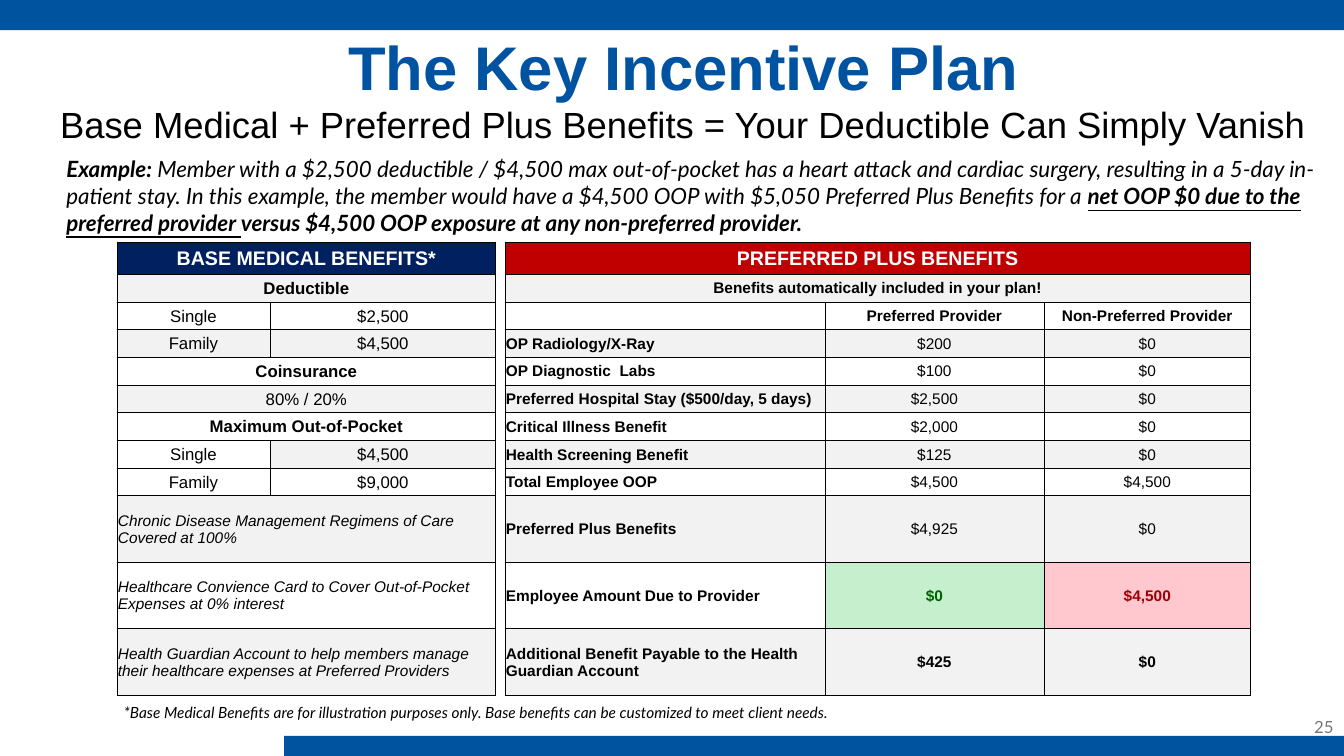
from lxml import etree
from pptx import Presentation
from pptx.dml.color import RGBColor
from pptx.enum.shapes import MSO_SHAPE
from pptx.enum.text import MSO_ANCHOR, MSO_AUTO_SIZE, PP_ALIGN
from pptx.oxml.ns import qn
from pptx.util import Pt

PX = 4572  # 200 px to the inch
LEFT, CENTER, RIGHT = PP_ALIGN.LEFT, PP_ALIGN.CENTER, PP_ALIGN.RIGHT
TOP, MIDDLE = MSO_ANCHOR.TOP, MSO_ANCHOR.MIDDLE
NO_AUTOFIT = MSO_AUTO_SIZE.NONE
RECTANGLE = MSO_SHAPE.RECTANGLE

BLACK = RGBColor(0x00, 0x00, 0x00)
WHITE = RGBColor(0xFF, 0xFF, 0xFF)
BLUE = RGBColor(0x00, 0x53, 0x9F)
TITLE_BLUE = RGBColor(0x00, 0x53, 0xA0)
NUMBER_GRAY = RGBColor(0x76, 0x76, 0x76)
NAVY = RGBColor(0x00, 0x20, 0x60)
RED = RGBColor(0xC0, 0x00, 0x00)
BAND = RGBColor(0xF2, 0xF2, 0xF2)
GOOD_FILL, GOOD_TEXT = RGBColor(0xC6, 0xEF, 0xCE), RGBColor(0x00, 0x61, 0x00)
BAD_FILL, BAD_TEXT = RGBColor(0xFF, 0xC7, 0xCE), RGBColor(0x9C, 0x00, 0x06)


def write(p, text, size, font="Arial", color=BLACK, bold=False, italic=False,
          underline=False, align=LEFT):
    """Append one formatted run to paragraph p."""
    p.alignment = align
    r = p.add_run()
    r.text = text
    r.font.size, r.font.name, r.font.color.rgb = Pt(size), font, color
    r.font.bold, r.font.italic, r.font.underline = bold, italic, underline


def set_borders(cell, visible):
    """Give a cell thin black edges on the named sides and none elsewhere."""
    tc_pr = cell._tc.get_or_add_tcPr()
    for side in "LRTB":
        ln = etree.SubElement(tc_pr, qn(f"a:ln{side}"), w=str(Pt(0.5)))
        if side in visible:
            fill = etree.SubElement(ln, qn("a:solidFill"))
            etree.SubElement(fill, qn("a:srgbClr"), val=str(BLACK))
        else:
            etree.SubElement(ln, qn("a:noFill"))


prs = Presentation()
prs.slide_width, prs.slide_height = 2667 * PX, 1500 * PX
slide = prs.slides.add_slide(prs.slide_layouts[0])

# Blue bars
for x, y, w, h in [(0, 0, 2667, 60), (564, 1460, 2103, 40)]:
    bar = slide.shapes.add_shape(RECTANGLE, x * PX, y * PX, w * PX, h * PX)
    bar.shadow.inherit = False
    bar.fill.solid()
    bar.fill.fore_color.rgb = BLUE
    bar.line.fill.background()

# Title and subtitle
title, subtitle = slide.placeholders
headings = [
    (title, 64, 176, "The Key Incentive Plan",
     dict(size=44, color=TITLE_BLUE, bold=True)),
    (subtitle, 202, 134,
     "Base Medical + Preferred Plus Benefits = Your Deductible Can Simply Vanish",
     dict(size=26)),
]
for sp, y, h, text, style in headings:
    sp.left, sp.top, sp.width, sp.height = 96 * PX, y * PX, 2522 * PX, h * PX
    tf = sp.text_frame
    tf.auto_size, tf.vertical_anchor, tf.word_wrap = NO_AUTOFIT, TOP, True
    p = tf.paragraphs[0]
    p.line_spacing, p.space_before = 0.9, Pt(0)
    write(p, text, align=CENTER, **style)

# Example, footnote and slide number
EXAMPLE = [
    ("Example:", dict(bold=True)),
    (" Member with a $2,500 deductible / $4,500 max out-of-pocket has a heart "
     "attack and cardiac surgery, resulting in a 5-day in-patient stay. In this "
     "example, the member would have a $4,500 OOP with $5,050 Preferred Plus "
     "Benefits for a ", {}),
    ("net OOP $0 due to the preferred provider ", dict(bold=True, underline=True)),
    ("versus $4,500 OOP exposure at any non-preferred provider.", dict(bold=True)),
]
FOOTNOTE = [("*Base Medical Benefits are for illustration purposes only. "
             "Base benefits can be customized to meet client needs.", {})]
notes = [
    ((112, 298, 2522, 182), TOP, True, EXAMPLE, dict(size=16, italic=True)),
    ((226, 1386, 1526, 58), TOP, False, FOOTNOTE, dict(size=11, italic=True)),
    ((2066, 1402, 600, 80), MIDDLE, True, [("25", {})],
     dict(size=12, color=NUMBER_GRAY, align=RIGHT)),
]
for box, anchor, wrap, runs, style in notes:
    tf = slide.shapes.add_textbox(*[v * PX for v in box]).text_frame
    tf.word_wrap, tf.vertical_anchor = wrap, anchor
    for text, extra in runs:
        write(tf.paragraphs[0], text, font="Lato", **style, **extra)

# Benefits table: two blocks side by side with a narrow gap column
GAP = 2
COLUMNS = [304, 448, 18, 635, 435, 410]
HEIGHTS = [64] + [55] * 8 + [132] * 3
ROWS = [
    ("BASE MEDICAL BENEFITS*", "", "", "PREFERRED PLUS BENEFITS", "", ""),
    ("Deductible", "", "", "Benefits automatically included in your plan!", "", ""),
    ("Single", "$2,500", "", "", "Preferred Provider", "Non-Preferred Provider"),
    ("Family", "$4,500", "", "OP Radiology/X-Ray", "$200", "$0"),
    ("Coinsurance", "", "", "OP Diagnostic  Labs", "$100", "$0"),
    ("80% / 20%", "", "", "Preferred Hospital Stay ($500/day, 5 days)", "$2,500", "$0"),
    ("Maximum Out-of-Pocket", "", "", "Critical Illness Benefit", "$2,000", "$0"),
    ("Single", "$4,500", "", "Health Screening Benefit", "$125", "$0"),
    ("Family", "$9,000", "", "Total Employee OOP", "$4,500", "$4,500"),
    ("Chronic Disease Management Regimens of Care Covered at 100%", "", "",
     "Preferred Plus Benefits", "$4,925", "$0"),
    ("Healthcare Convience Card to Cover Out-of-Pocket Expenses at 0% interest", "",
     "", "Employee Amount Due to Provider", "$0", "$4,500"),
    ("Health Guardian Account to help members manage their healthcare expenses at "
     "Preferred Providers", "", "",
     "Additional Benefit Payable to the Health Guardian Account", "$425", "$0"),
]
BOLD_LEFT = {1, 4, 6}
BOLD_VALUES = {2, 10, 11}
UNBANDED = (7, 0)
HIGHLIGHTS = {(10, 4): (GOOD_FILL, GOOD_TEXT), (10, 5): (BAD_FILL, BAD_TEXT)}

table = slide.shapes.add_table(len(ROWS), len(COLUMNS), 232 * PX, 480 * PX,
                               sum(COLUMNS) * PX, sum(HEIGHTS) * PX).table
table.first_row = table.horz_banding = False
for column, width in zip(table.columns, COLUMNS):
    column.width = width * PX
for row, height in zip(table.rows, HEIGHTS):
    row.height = height * PX

for i, texts in enumerate(ROWS):
    if not texts[1]:
        table.cell(i, 0).merge(table.cell(i, 1))
    if not texts[5]:
        table.cell(i, 3).merge(table.cell(i, 5))
    for j, text in enumerate(texts):
        cell = table.cell(i, j)
        cell.vertical_anchor = MIDDLE
        cell.margin_left = cell.margin_right = cell.margin_top = 2 * PX
        cell.margin_bottom = 0
        set_borders(cell, "LR" if j == GAP else "LRTB")

        fill, color = BAND if i % 2 and (i, j) != UNBANDED else None, BLACK
        if i == 0:
            fill, color = NAVY if j < GAP else RED, WHITE
        fill, color = HIGHLIGHTS.get((i, j), (fill, color))
        if fill is None or j == GAP:
            cell.fill.background()
        else:
            cell.fill.solid()
            cell.fill.fore_color.rgb = fill

        p = cell.text_frame.paragraphs[0]
        if not text:
            etree.SubElement(p._p, qn("a:endParaRPr"), sz="1100")
            continue
        perk = j == 0 and i > 8
        label = j == 3 and i > 2
        size = 14 if i == 0 else 12 if j < GAP and not perk else 11
        bold = i == 0 or j == 3 or i in (BOLD_LEFT if j < GAP else BOLD_VALUES)
        write(p, text, size, color=color, bold=bold, italic=perk,
              align=LEFT if perk or label else CENTER)

prs.save("out.pptx")
